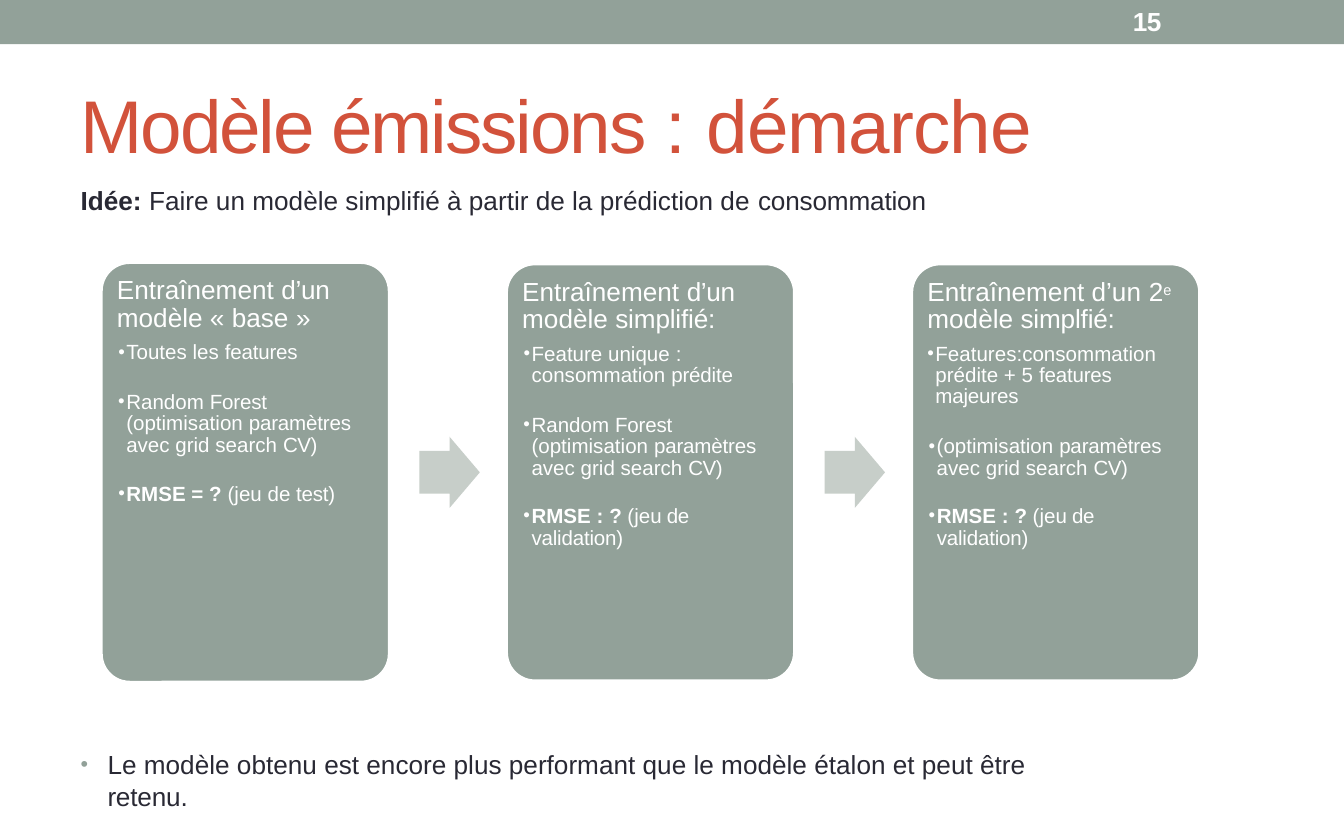
"""Build the slide on the approach behind the emissions model."""
import pptx
import pptx.dml.color
import pptx.enum.shapes
import pptx.enum.text
import pptx.oxml
import pptx.oxml.ns
import pptx.util

Inches, Pt = pptx.util.Inches, pptx.util.Pt
RGBColor = pptx.dml.color.RGBColor
Shapes = pptx.enum.shapes.MSO_SHAPE

SAGE = RGBColor(0x92, 0xA1, 0x99)
PALE_SAGE = RGBColor(0xC7, 0xCE, 0xC9)
RED = RGBColor(0xD2, 0x52, 0x3B)
INK = RGBColor(0x29, 0x29, 0x34)
WHITE = RGBColor(0xFF, 0xFF, 0xFF)

HEADING = dict(size=14, color=WHITE, left=0.01, line=Pt(14.5), before=3.4)
ITEM = dict(size=11, color=WHITE, left=0.08, hanging=0.06, bullet=(WHITE, 91),
            line=Pt(11.4), before=2.9)
FIRST_ITEM = dict(ITEM, before=5.6)
LONE_ITEM = dict(ITEM, line=None, before=1.1)

BOLD = {"b": "1"}
SUPERSCRIPT = {"baseline": "24000", "sz": "1350"}

TITLE = [("Modèle émissions ", -1.1), (": ", 0), ("démarche", -0.5)]
IDEA = [("Idée: ", 0, BOLD),
        ("Faire un modèle simplifié à partir de la prédiction de ", 0),
        ("consommation", -0.1)]
CONCLUSION = [("Le modèle obtenu est encore plus performant que le modèle "
               "étalon et peut être ", 0), ("retenu.", -0.1)]
TUNING = [("(optimisation ", 0), ("paramètres ", -0.1),
          ("avec grid search ", 0), ("CV)", -0.3)]
FOREST = [("Random ", 0), ("Forest ", -0.1)] + TUNING
VALIDATION = [("RMSE :\u00a0", 0, BOLD), ("? ", -0.1, BOLD), ("(jeu", 0),
              (" de ", -0.3), ("validation)", -0.1)]
TEST = [("RMSE =\u00a0? ", 0, BOLD), ("(jeu de", 0), (" test)", -0.1)]
START = [("Entraînement ", 0), ("d’un ", -0.2)]

CARDS = [
    dict(top=1.95, height=3.13, blocks=[
        (0.11, 2.02, 1.61, 0.69, 0.05, [
            (HEADING, START + [("modèle « base ", 0), ("»", -0.5)]),
            (dict(LONE_ITEM, before=3.8), [("Toutes les ", 0), ("features", -0.1)])]),
        (0.11, 2.88, 1.77, 0.51, 0.04, [(ITEM, FOREST)]),
        (0.11, 3.57, 1.81, 0.20, 0.01, [(LONE_ITEM, TEST)])]),
    dict(top=1.96, height=3.11, blocks=[
        (0.11, 2.03, 1.62, 0.84, 0.05, [
            (HEADING, START + [("modèle ", 0), ("simplifié:", -0.1)]),
            (FIRST_ITEM, [("Feature unique ", 0), (": ", -0.5),
                          ("consommation ", 0), ("prédite", -0.1)])]),
        (0.11, 3.05, 1.77, 0.51, 0.04, [(ITEM, FOREST)]),
        (0.11, 3.73, 1.43, 0.36, 0.04, [(ITEM, VALIDATION)])]),
    dict(top=1.96, height=3.11, blocks=[
        (0.08, 2.03, 1.91, 1.00, 0.05, [
            (dict(HEADING, left=0.04),
             [("Entraînement d’un ", 0), ("2", -0.3), ("e ", -0.5, SUPERSCRIPT),
              ("modèle ", 0), ("simplfié:", -0.1)]),
            (dict(FIRST_ITEM, left=0.1),
             [("Features:consommation ", 0), ("prédite + 5 ", 0),
              ("features majeures", -0.1)])]),
        (0.11, 3.21, 1.77, 0.36, 0.04, [(ITEM, TUNING)]),
        (0.11, 3.73, 1.35, 0.36, 0.04, [(ITEM, VALIDATION)])]),
]
CARD_LEFT, CARD_PITCH, CARD_WIDTH = 0.75, 3.015, 2.15
ARROW_OFFSET, ARROW_TOP, ARROW_WIDTH, ARROW_HEIGHT = 2.37, 3.25, 0.45, 0.53


def add_bullet(properties, color, percent):
    for tag, attributes in (("buClr", {}), ("buSzPct", {"val": str(percent * 1000)}),
                            ("buFont", {"typeface": "Arial"}), ("buChar", {"char": "•"})):
        element = pptx.oxml.parse_xml(f"<a:{tag} {pptx.oxml.ns.nsdecls('a')}/>")
        for name, value in attributes.items():
            element.set(name, value)
        if tag == "buClr":
            element.append(pptx.oxml.parse_xml(
                f'<a:srgbClr {pptx.oxml.ns.nsdecls("a")} val="{color}"/>'))
        properties.append(element)


def write_paragraph(paragraph, runs, size, color, left=0, hanging=0, bullet=None,
                    line=None, before=0):
    paragraph.alignment = pptx.enum.text.PP_ALIGN.LEFT
    paragraph.space_before = Pt(before)
    if line:
        paragraph.line_spacing = line
    properties = paragraph._p.get_or_add_pPr()
    properties.set("marL", str(Inches(left)))
    properties.set("indent", str(-Inches(hanging)))
    if bullet:
        add_bullet(properties, *bullet)
    for text, spacing, *extras in runs:
        run = paragraph.add_run()
        run.text = text
        run.font.name = "Arial"
        run.font.size = Pt(size)
        run.font.color.rgb = color
        run_properties = run._r.get_or_add_rPr()
        run_properties.set("spc", str(round(spacing * 100)))
        for extra in extras:
            for name, value in extra.items():
                run_properties.set(name, value)


def fill_text(shape, inset, paragraphs):
    frame = shape.text_frame
    frame.word_wrap = True
    frame.auto_size = pptx.enum.text.MSO_AUTO_SIZE.NONE
    frame.vertical_anchor = pptx.enum.text.MSO_ANCHOR.TOP
    frame.margin_left = frame.margin_right = frame.margin_bottom = 0
    frame.margin_top = Inches(inset)
    for index, (style, runs) in enumerate(paragraphs):
        paragraph = frame.add_paragraph() if index else frame.paragraphs[0]
        write_paragraph(paragraph, runs, **style)


def add_text(slide, left, top, width, height, inset, paragraphs):
    box = slide.shapes.add_textbox(*map(Inches, (left, top, width, height)))
    fill_text(box, inset, paragraphs)


def add_block(slide, kind, left, top, width, height, color, adjustments=()):
    shape = slide.shapes.add_shape(kind, *map(Inches, (left, top, width, height)))
    shape.shadow.inherit = False
    shape.fill.solid()
    shape.fill.fore_color.rgb = color
    shape.line.fill.background()
    for index, value in enumerate(adjustments):
        shape.adjustments[index] = value
    return shape


presentation = pptx.Presentation()
presentation.slide_width, presentation.slide_height = Inches(10), Inches(6.25)
slide = presentation.slides.add_slide(presentation.slide_layouts[5])

add_block(slide, Shapes.RECTANGLE, 0, 0, 10, 0.33, SAGE)
add_text(slide, 8.42, 0.03, 0.24, 0.25, 0.01,
         [(dict(size=14, color=WHITE, left=0.01, before=1.1), [("15", -0.3, BOLD)])])

title = slide.shapes.title
title.left, title.top, title.width, title.height = map(Inches, (0.59, 0.24, 9.41, 2.03))
fill_text(title, 0.35, [
    (dict(size=40, color=RED, left=0.01, line=1.0, before=24.9), TITLE),
    (dict(size=14, color=INK, left=0.01, line=1.0, before=8.4), IDEA)])

add_text(slide, 0.59, 5.56, 7.68, 0.48, 0.01,
         [(dict(size=14, color=INK, left=0.21, hanging=0.2, bullet=(SAGE, 82), before=1),
           CONCLUSION)])

for column, card in enumerate(CARDS):
    left = CARD_LEFT + column * CARD_PITCH
    if column:
        add_block(slide, Shapes.RIGHT_ARROW, left - CARD_PITCH + ARROW_OFFSET, ARROW_TOP,
                  ARROW_WIDTH, ARROW_HEIGHT, PALE_SAGE, (0.6, 0.5))
    panel = add_block(slide, Shapes.ROUNDED_RECTANGLE, left, card["top"], CARD_WIDTH,
                      card["height"], SAGE, (0.1,))
    panel.line.color.rgb = WHITE
    panel.line.width = Pt(2.08)
    for offset, *box in card["blocks"]:
        add_text(slide, left + offset, *box)

presentation.save("out.pptx")
